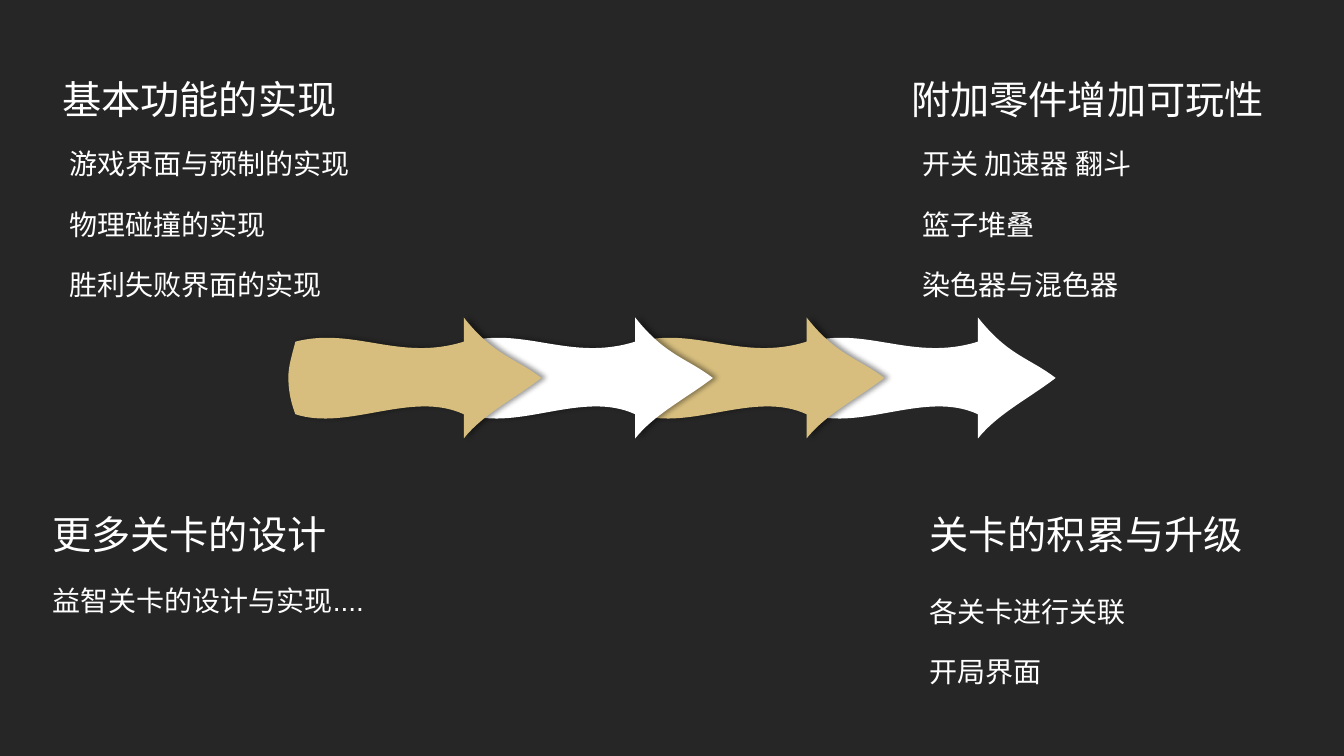
from lxml.etree import SubElement
from pptx import Presentation
from pptx.dml.color import RGBColor
from pptx.enum.text import MSO_AUTO_SIZE
from pptx.oxml import parse_xml
from pptx.oxml.ns import nsdecls, qn
from pptx.util import Inches, Pt

DARK = RGBColor(0x26, 0x26, 0x26)
GOLD = RGBColor(0xD7, 0xBE, 0x7E)
WHITE = RGBColor(0xFF, 0xFF, 0xFF)
CJK_FONT = "Noto Sans CJK SC"
BODY_FONT = "Arial"

# Arrow outline in inches: one point is a line, three points are a curve
ARROW_START = (0.07, 0.24)
ARROW_SEGMENTS = [
    [(0.65, 0.09), (1.1, 0.44), (1.74, 0.24)],
    [(1.74, 0)],
    [(2.04, 0.38), (2.25, 0.4), (2.51, 0.6)],
    [(2.25, 0.8), (1.93, 0.96), (1.74, 1.2)],
    [(1.74, 0.96)],
    [(1.22, 0.72), (0.59, 1.13), (0.07, 0.96)],
    [(0.02, 0.83), (0, 0.71), (0, 0.59)],
    [(0, 0.48), (0.04, 0.36), (0.07, 0.24)],
]
ARROW_COLORS = [GOLD, WHITE, GOLD, WHITE]
ARROW_STEP = 1.7

# Heading, its box (left, top, width), list items, list box
BLOCKS = [
    ("基本功能的实现", (0.52, 0.7, 3.48),
     ["游戏界面与预制的实现", "物理碰撞的实现", "胜利失败界面的实现"],
     (0.59, 1.14, 3.35, 1.92)),
    ("附加零件增加可玩性", (8.94, 0.7, 3.86),
     ["开关 加速器 翻斗", "篮子堆叠", "染色器与混色器"],
     (9.05, 1.14, 3.35, 1.92)),
    ("更多关卡的设计", (0.42, 5.01, 3.58),
     ["益智关卡的设计与实现...."], (0.42, 5.47, 3.35, 0.71)),
    ("关卡的积累与升级", (9.12, 5.01, 3.49),
     ["各关卡进行关联", "开局界面"], (9.12, 5.58, 3.35, 1.31)),
]


def add_text(slide, box, lines, size, font, spacing=None):
    tb = slide.shapes.add_textbox(*[Inches(v) for v in box])
    tf = tb.text_frame
    tf.word_wrap = True
    tf.auto_size = MSO_AUTO_SIZE.SHAPE_TO_FIT_TEXT
    for i, line in enumerate(lines):
        p = tf.paragraphs[0] if i == 0 else tf.add_paragraph()
        p.line_spacing = spacing
        r = p.add_run()
        r.text = line
        r.font.size = Pt(size)
        r.font.name = font
        r.font.color.rgb = WHITE
        SubElement(r.font._element, qn("a:ea"), typeface=CJK_FONT)


def add_block(slide, heading, heading_box, items, items_box):
    add_text(slide, (*heading_box, 0.57), [heading], 28, CJK_FONT)
    add_text(slide, items_box, items, 20, BODY_FONT, 1.8)


def add_shadow(sp):
    sp._element.spPr.append(parse_xml(
        f'<a:effectLst {nsdecls("a")}>'
        f'<a:outerShdw blurRad="{Pt(4)}" dist="{Pt(3)}" dir="0" algn="l" '
        'rotWithShape="0"><a:srgbClr val="000000"><a:alpha val="40000"/>'
        '</a:srgbClr></a:outerShdw></a:effectLst>'))


def add_arrow(slide, left, top, color, shadow):
    points = [(Inches(x), Inches(y)) for seg in ARROW_SEGMENTS for x, y in seg]
    builder = slide.shapes.build_freeform(*[Inches(v) for v in ARROW_START])
    builder.add_line_segments(points, close=True)
    sp = builder.convert_to_shape(Inches(left), Inches(top))

    # Merge each three-point segment into one Bézier curve
    steps = iter(list(sp._element.iter(qn("a:lnTo"))))
    for seg in ARROW_SEGMENTS:
        first, *rest = [next(steps) for _ in seg]
        if rest:
            first.tag = qn("a:cubicBezTo")
        for step in rest:
            first.append(step[0])
            step.getparent().remove(step)

    sp.fill.solid()
    sp.fill.fore_color.rgb = color
    sp.line.fill.background()
    if shadow:
        add_shadow(sp)
    else:
        sp.shadow.inherit = False


def add_arrow_chain(slide, left, top):
    # Rightmost first, so each arrow overlaps the next one
    last = len(ARROW_COLORS) - 1
    for i in range(last, -1, -1):
        add_arrow(slide, left + i * ARROW_STEP, top, ARROW_COLORS[i], i < last)


def main():
    prs = Presentation()
    prs.slide_width = Inches(13.33)
    prs.slide_height = Inches(7.5)
    slide = prs.slides.add_slide(prs.slide_layouts[6])
    slide.background.fill.solid()
    slide.background.fill.fore_color.rgb = DARK

    add_arrow_chain(slide, 2.86, 3.15)
    for block in BLOCKS:
        add_block(slide, *block)
    prs.save("out.pptx")


if __name__ == "__main__":
    main()
